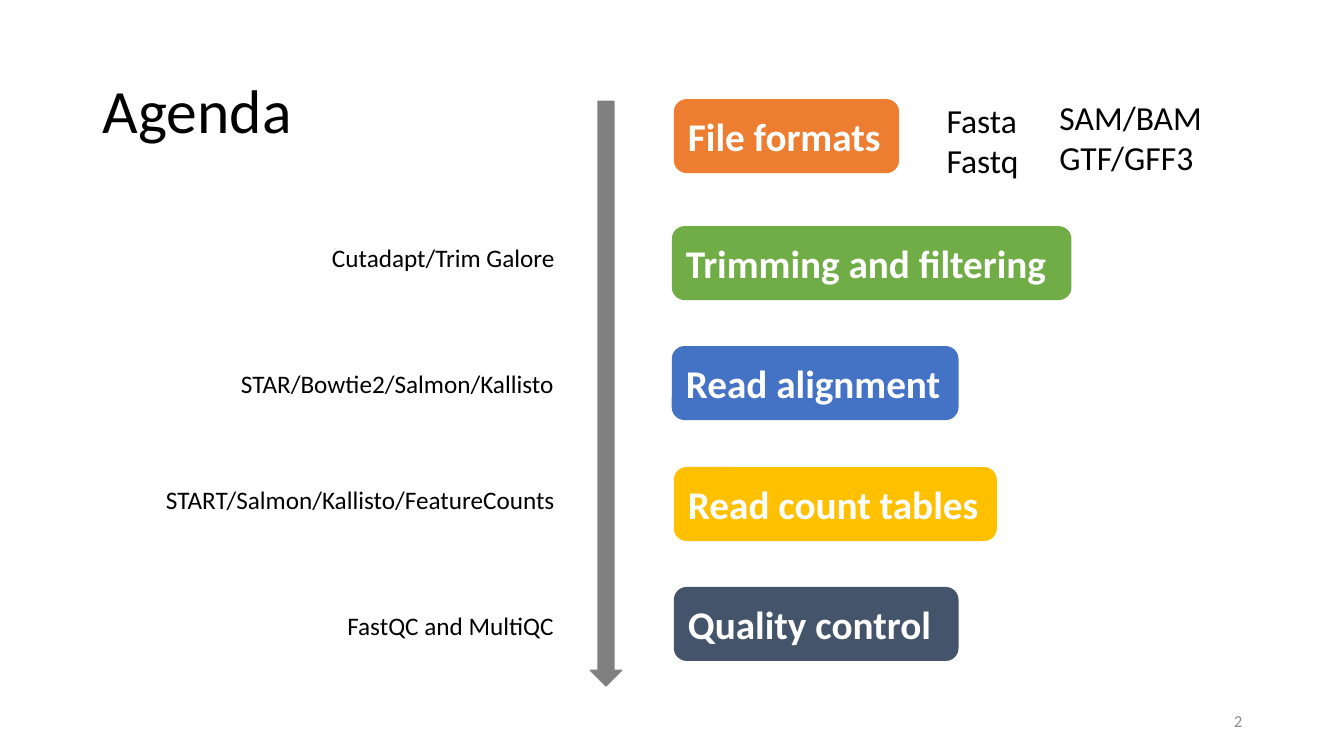
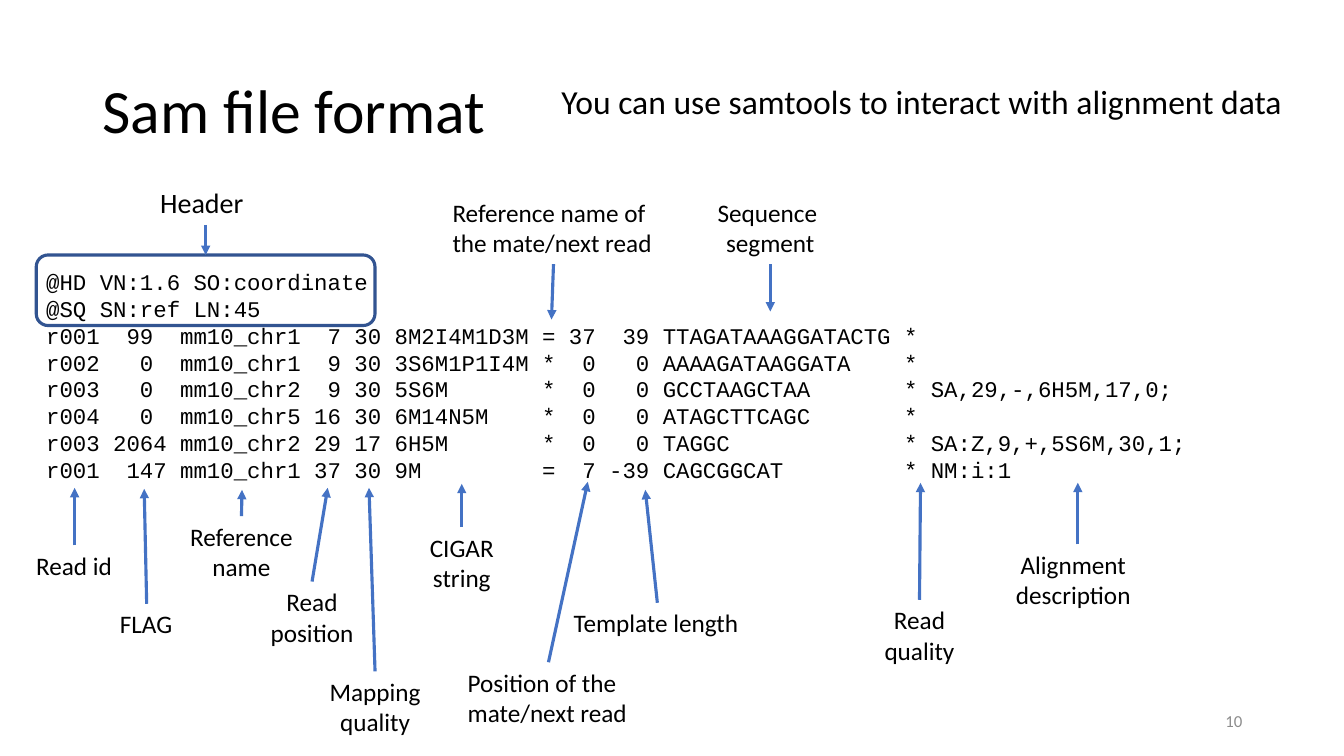
from lxml.etree import SubElement
from pptx import Presentation
from pptx.dml.color import RGBColor
from pptx.enum.shapes import MSO_CONNECTOR, MSO_SHAPE
from pptx.enum.text import MSO_ANCHOR as Anchor, MSO_AUTO_SIZE as AutoSize, PP_ALIGN as Align
from pptx.oxml.ns import qn
from pptx.util import Inches, Pt

BLACK = RGBColor(0x00, 0x00, 0x00)
WHITE = RGBColor(0xFF, 0xFF, 0xFF)
GREY = RGBColor(0x80, 0x80, 0x80)
NUMBER_GREY = RGBColor(0x8C, 0x8C, 0x8C)
ORANGE = RGBColor(0xED, 0x7D, 0x31)
GREEN = RGBColor(0x70, 0xAD, 0x47)
BLUE = RGBColor(0x44, 0x72, 0xC4)
YELLOW = RGBColor(0xFF, 0xC0, 0x00)
SLATE = RGBColor(0x44, 0x54, 0x6A)
FRAME_BLUE = RGBColor(0x32, 0x54, 0x91)

BODY_FONT = "Calibri"
CODE_FONT = "Courier New"
TOP, BOTTOM = 0, 2  # connection sites

# Agenda steps: left, top, width, text, colour
STEPS = [
    (6.69, 0.99, 2.22, "File formats", ORANGE),
    (6.67, 2.25, 3.95, "Trimming and filtering", GREEN),
    (6.67, 3.44, 2.83, "Read alignment", BLUE),
    (6.69, 4.64, 3.19, "Read count tables", YELLOW),
    (6.69, 5.83, 2.81, "Quality control", SLATE),
]

# Tools beside the steps: left, top, width, text
TOOLS = [
    (3.16, 2.35, 2.44, "Cutadapt/Trim Galore"),
    (2.25, 3.6, 3.34, "STAR/Bowtie2/Salmon/Kallisto"),
    (1.5, 4.76, 4.1, "START/Salmon/Kallisto/FeatureCounts"),
    (3.32, 6.01, 2.27, "FastQC and MultiQC"),
]

SAM_LINES = [
    "@HD VN:1.6 SO:coordinate",
    "@SQ SN:ref LN:45",
    "r001  99  mm10_chr1  7 30 8M2I4M1D3M = 37  39 TTAGATAAAGGATACTG *",
    "r002   0  mm10_chr1  9 30 3S6M1P1I4M *  0   0 AAAAGATAAGGATA    *",
    "r003   0  mm10_chr2  9 30 5S6M       *  0   0 GCCTAAGCTAA       * SA,29,-,6H5M,17,0;",
    "r004   0  mm10_chr5 16 30 6M14N5M    *  0   0 ATAGCTTCAGC       *",
    "r003 2064 mm10_chr2 29 17 6H5M       *  0   0 TAGGC             * SA:Z,9,+,5S6M,30,1;",
    "r001  147 mm10_chr1 37 30 9M         =  7 -39 CAGCGGCAT         * NM:i:1",
]

# Field labels: left, top, width, lines, arrow tip, alignment
FIELDS = [
    (0.26, 5.41, 0.96, ["Read id"], (0.74, 4.84), Align.LEFT),
    (1.09, 5.99, 0.73, ["FLAG"], (1.43, 4.85), Align.LEFT),
    (1.78, 5.12, 1.23, ["Reference", "name"], (2.4, 4.86), Align.CENTER),
    (2.58, 5.77, 1.03, ["Read", "position"], (3.25, 4.84), Align.CENTER),
    (3.16, 6.66, 1.12, ["Mapping", "quality"], (3.66, 4.84), Align.CENTER),
    (4.39, 1.91, 2.2, ["Reference name of", "the mate/next read"], (5.47, 3.17), Align.LEFT),
    (4.54, 6.57, 1.8, ["Position of the", "mate/next read"], (5.83, 4.78), Align.LEFT),
    (5.59, 5.98, 1.86, ["Template length"], (6.4, 4.86), Align.LEFT),
    (7.01, 1.91, 1.26, ["Sequence ", "segment"], (7.64, 3.09), Align.CENTER),
    (8.67, 5.95, 0.9, ["Read", "quality"], (9.13, 4.79), Align.CENTER),
]


def add_text(slide, box, lines, size, align=Align.LEFT, color=BLACK, font=BODY_FONT,
             anchor=Anchor.TOP, wrap=True, grow=True, line_spacing=None):
    """Text box with one paragraph per line."""
    shape = slide.shapes.add_textbox(*map(Inches, box))
    frame = shape.text_frame
    frame.text = "\n".join(lines)
    frame.word_wrap = wrap
    frame.auto_size = AutoSize.SHAPE_TO_FIT_TEXT if grow else AutoSize.NONE
    frame.vertical_anchor = anchor
    for paragraph in frame.paragraphs:
        paragraph.alignment = align
        paragraph.line_spacing = line_spacing
        paragraph.font.name = font
        paragraph.font.size = Pt(size)
        paragraph.font.color.rgb = color
    return shape


def add_box(slide, preset, box, fill=None, line=None, line_width=1):
    """Preset shape; without a fill colour it is only an outline."""
    shape = slide.shapes.add_shape(preset, *map(Inches, box))
    shape.shadow.inherit = False
    if fill is None:
        shape.fill.background()
    else:
        shape.fill.solid()
        shape.fill.fore_color.rgb = fill
    shape.line.color.rgb = line or fill
    shape.line.width = Pt(line_width)
    return shape


def add_step(slide, left, top, width, text, color):
    shape = add_box(slide, MSO_SHAPE.ROUNDED_RECTANGLE, (left, top, width, 0.72), color)
    frame = shape.text_frame
    frame.text = text
    frame.word_wrap = True
    frame.vertical_anchor = Anchor.MIDDLE
    paragraph = frame.paragraphs[0]
    paragraph.alignment = Align.LEFT
    paragraph.font.name = BODY_FONT
    paragraph.font.size = Pt(28)
    paragraph.font.bold = True
    paragraph.font.color.rgb = WHITE


def add_arrow(slide, start, tip):
    connector = slide.shapes.add_connector(
        MSO_CONNECTOR.STRAIGHT, *map(Inches, (*start, *tip)))
    connector.line.color.rgb = BLUE
    connector.line.width = Pt(2.25)
    properties = connector.element.spPr
    SubElement(properties.find(qn("a:ln")), qn("a:tailEnd"), type="triangle")
    SubElement(properties, qn("a:effectLst"))
    return connector


def add_label(slide, left, top, width, lines, align=Align.CENTER, wrap=False):
    height = 0.4 if len(lines) == 1 and not wrap else 0.71
    return add_text(slide, (left, top, width, height), lines, 18, align, wrap=wrap)


def point_from(slide, label, tip):
    """Arrow from the side of the label that faces the tip."""
    connector = add_arrow(slide, (0, 0), tip)
    connector.begin_connect(label, TOP if Inches(tip[1]) < label.top else BOTTOM)
    return connector


def add_slide(presentation, title, title_width, number):
    """Blank slide with the shared title and slide number."""
    slide = presentation.slides.add_slide(presentation.slide_layouts[6])
    add_text(slide, (0.92, 0.4, title_width, 1.45), [title], 44,
             anchor=Anchor.MIDDLE, grow=False, line_spacing=0.9)
    add_text(slide, (9.42, 6.95, 3, 0.4), [number], 12, Align.RIGHT, NUMBER_GREY,
             anchor=Anchor.MIDDLE, grow=False)
    return slide


def build_agenda(presentation):
    slide = add_slide(presentation, "Agenda", 2.54, "2")

    # Timeline
    timeline = add_box(slide, MSO_SHAPE.RIGHT_ARROW, (3.11, 3.75, 5.8, 0.31), GREY)
    timeline.rotation = 90

    # Steps and their tools
    for step in STEPS:
        add_step(slide, *step)
    for left, top, width, text in TOOLS:
        add_label(slide, left, top, width, [text], Align.RIGHT)

    # File formats
    add_text(slide, (9.29, 0.94, 0.94, 0.91), ["Fasta", "Fastq"], 24)
    add_text(slide, (10.41, 0.91, 1.73, 0.91), ["SAM/BAM", "GTF/GFF3"], 24)


def build_sam_format(presentation):
    slide = add_slide(presentation, "Sam file format", 11.5, "10")
    add_text(slide, (5.47, 0.75, 7.41, 0.5),
             ["You can use samtools to interact with alignment data"], 24, wrap=False)

    # File content
    add_text(slide, (0.36, 2.61, 11.67, 2.32), SAM_LINES, 16, font=CODE_FONT)

    # Header frame
    frame = add_box(slide, MSO_SHAPE.ROUNDED_RECTANGLE, (0.36, 2.53, 3.36, 0.7),
                    line=FRAME_BLUE, line_width=2.25)
    header = add_text(slide, (1.49, 1.79, 1.1, 0.44), ["Header"], 20)
    point_from(slide, header, (2.04, 2.53)).end_connect(frame, TOP)

    # Field labels
    for left, top, width, lines, tip, align in FIELDS:
        label = add_label(slide, left, top, width, lines, align)
        point_from(slide, label, tip)
    cigar = add_label(slide, 3.99, 5.23, 1.18, ["CIGAR string"], wrap=True)
    point_from(slide, cigar, (4.58, 4.8))

    # The last arrow stands a little right of its label's middle
    add_label(slide, 9.97, 5.4, 1.35, ["Alignment", "description"])
    add_arrow(slide, (10.69, 5.4), (10.69, 4.79))


def main():
    presentation = Presentation()
    presentation.slide_width = Inches(13.33)
    presentation.slide_height = Inches(7.5)
    build_agenda(presentation)
    build_sam_format(presentation)
    presentation.save("out.pptx")


if __name__ == "__main__":
    main()
